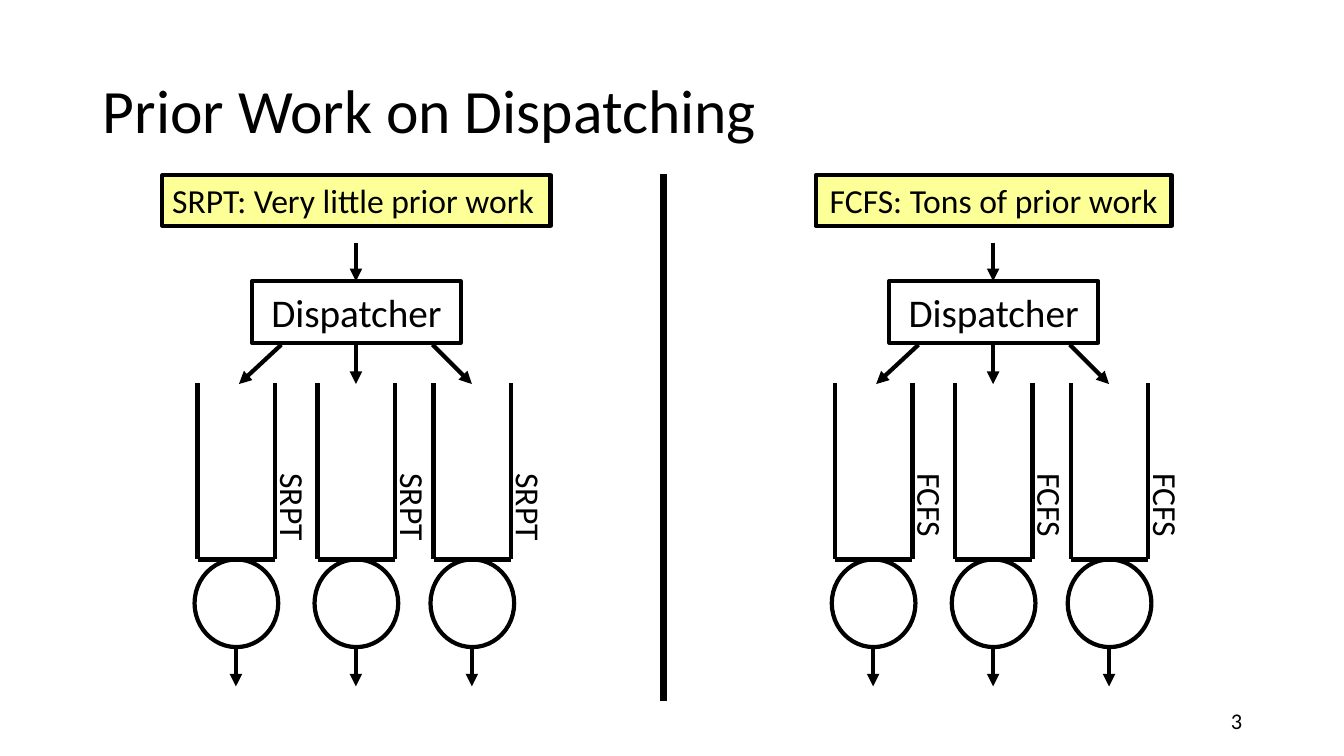
from dataclasses import dataclass

from lxml.etree import SubElement
from pptx import Presentation
from pptx.dml.color import RGBColor
from pptx.enum.shapes import MSO_CONNECTOR, MSO_SHAPE
from pptx.enum.text import MSO_ANCHOR, MSO_AUTO_SIZE, PP_ALIGN
from pptx.oxml.ns import qn
from pptx.util import Pt

PX = 9144


@dataclass(frozen=True)
class Theme:
    font: str = "Calibri"
    ink: RGBColor = RGBColor(0, 0, 0)
    banner: RGBColor = RGBColor(0xFD, 0xFF, 0x97)
    title: int = 44
    dispatcher: int = 28
    label: int = 24
    number: int = 16
    line: int = 3
    divider: int = 5


THEME = Theme()


def px(*lengths):
    return [length * PX for length in lengths]


def write(sp, text, size, align=PP_ALIGN.LEFT, anchor=MSO_ANCHOR.TOP):
    tf = sp.text_frame
    frame = {"word_wrap": True, "auto_size": MSO_AUTO_SIZE.NONE, "vertical_anchor": anchor}
    for name, value in frame.items():
        setattr(tf, name, value)
    p = tf.paragraphs[0]
    p.alignment = align
    r = p.add_run()
    r.text = text
    for name, value in {"name": THEME.font, "size": Pt(size)}.items():
        setattr(r.font, name, value)
    r.font.color.rgb = THEME.ink
    return p


def outlined(shapes, kind, box, fill=None):
    sp = shapes.add_shape(kind, *px(*box))
    sp.shadow.inherit = False
    if fill is None:
        sp.fill.background()
    else:
        sp.fill.solid()
        sp.fill.fore_color.rgb = fill
    sp.line.color.rgb = THEME.ink
    sp.line.width = Pt(THEME.line)
    return sp


def connect(shapes, x1, y1, x2, y2, width=THEME.line, arrow=False):
    line = shapes.add_connector(MSO_CONNECTOR.STRAIGHT, *px(x1, y1, x2, y2))
    line.line.color.rgb = THEME.ink
    line.line.width = Pt(width)
    if arrow:
        SubElement(line.line._get_or_add_ln(), qn("a:tailEnd"), type="triangle")
    SubElement(line._element.spPr, qn("a:effectLst"))


def add_title(s, box, text):
    sp = s.shapes.title
    for name, value in zip(("left", "top", "width", "height"), px(*box)):
        setattr(sp, name, value)
    p = write(sp, text, THEME.title, anchor=MSO_ANCHOR.MIDDLE)
    p.line_spacing = 0.9


def add_queue(shapes, box, policy):
    left, top, width, height = box
    right, bottom = left + width, top + height
    middle = left + width // 2
    for ends in ((left, top, left, bottom), (left, bottom, right, bottom), (right, top, right, bottom)):
        connect(shapes, *ends)
    outlined(shapes, MSO_SHAPE.OVAL, (left - 3, bottom, width + 6, 87))
    connect(shapes, middle, bottom + 87, middle, bottom + 126, arrow=True)
    label = shapes.add_textbox(*px(left + 20, top + 130, 150, 50))
    label.rotation = 90
    write(label, policy, THEME.label)


def add_panel(s, box, policy, claim, banner_width, align):
    left, top, width, height = box
    center = left + width // 2
    shapes = s.shapes.add_group_shape().shapes

    banner = (center - banner_width // 2, top, banner_width, 50)
    sp = outlined(shapes, MSO_SHAPE.RECTANGLE, banner, THEME.banner)
    write(sp, f"{policy}: {claim}", THEME.label, align)

    sp = outlined(shapes, MSO_SHAPE.RECTANGLE, (center - 103, top + 105, 207, 61))
    write(sp, "Dispatcher", THEME.dispatcher, PP_ALIGN.CENTER, MSO_ANCHOR.MIDDLE)

    connect(shapes, center, top + 67, center, top + 105, arrow=True)
    for start, end in ((-74, -116), (0, 0), (76, 115)):
        connect(shapes, center + start, top + 168, center + end, top + 207, arrow=True)

    for offset in (-157, -38, 77):
        add_queue(shapes, (center + offset, top + 206, 77, height - 332), policy)


def add_slide_number(s, box, number):
    sp = s.shapes.add_textbox(*px(*box))
    write(sp, number, THEME.number, PP_ALIGN.RIGHT, MSO_ANCHOR.MIDDLE)


def main():
    prs = Presentation()
    prs.slide_width, prs.slide_height = px(1333, 750)
    s = prs.slides.add_slide(prs.slide_layouts[5])
    add_title(s, (92, 40, 1150, 145), "Prior Work on Dispatching")
    add_panel(s, (161, 174, 385, 507), "SRPT", "Very little prior work", 385, PP_ALIGN.LEFT)
    add_panel(s, (793, 174, 385, 507), "FCFS", "Tons of prior work", 353, PP_ALIGN.CENTER)
    connect(s.shapes, 658, 695, 658, 173, THEME.divider)
    add_slide_number(s, (942, 695, 300, 40), "3")
    prs.save("out.pptx")


if __name__ == "__main__":
    main()
